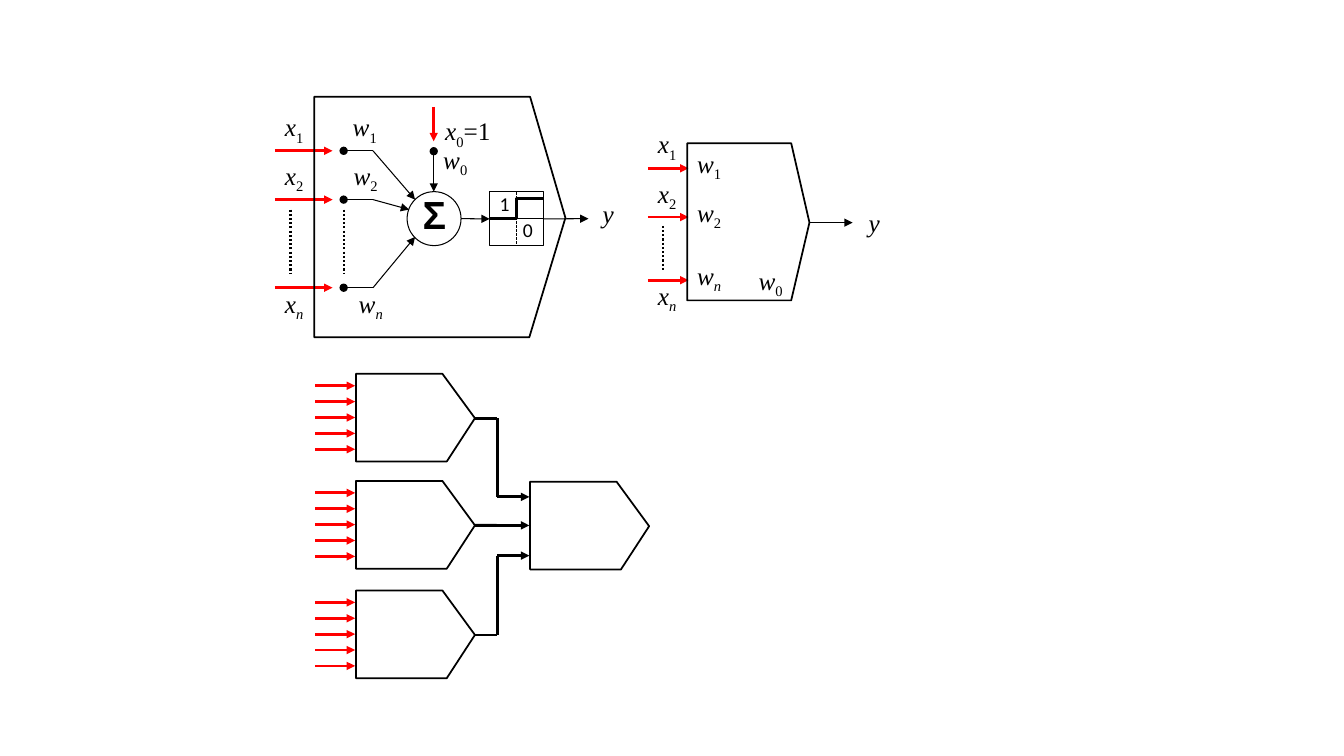
"""Draw a threshold neuron, its compact symbol and a two-layer network."""
import dataclasses

import pptx
import pptx.dml.color
import pptx.enum.dml
import pptx.enum.shapes
import pptx.enum.text
import pptx.oxml.ns
import pptx.util
from lxml import etree

Cm = pptx.util.Cm
Dash = pptx.enum.dml.MSO_LINE
Connector = pptx.enum.shapes.MSO_CONNECTOR
Preset = pptx.enum.shapes.MSO_SHAPE


@dataclasses.dataclass(frozen=True)
class Theme:
    ink: str = "000000"
    signal: str = "FF0000"
    math_font: str = "Times New Roman"
    sum_font: str = "Arial"
    digit_font: str = "Calibri"
    math_size: float = 18
    sum_size: float = 28
    digit_size: float = 14
    thin: float = 0.75
    outline: float = 1.25
    dotted: float = 1.5
    wire: float = 2
    step: float = 2.25


class Diagram:
    def __init__(self, slide, theme):
        self.slide = slide
        self.theme = theme
        self.shapes = slide.shapes

    def open_group(self):
        self.shapes = self.slide.shapes.add_group_shape().shapes

    def close_group(self):
        self.shapes = self.slide.shapes

    def stroke(self, line, width, color=None):
        line.color.rgb = pptx.dml.color.RGBColor.from_string(color or self.theme.ink)
        line.width = pptx.util.Pt(width)

    def line(self, start, end, width=None, color=None, head=None, tail=None,
             dash=None, kind=Connector.STRAIGHT):
        link = self.shapes.add_connector(kind, *map(Cm, start + end))
        self.stroke(link.line, width or self.theme.thin, color)
        if dash:
            link.line.dash_style = dash
        properties = link._element.spPr
        outline = properties.find(pptx.oxml.ns.qn("a:ln"))
        for tag, mark in (("a:headEnd", head), ("a:tailEnd", tail)):
            if mark:
                etree.SubElement(outline, pptx.oxml.ns.qn(tag), type=mark)
        etree.SubElement(properties, pptx.oxml.ns.qn("a:effectLst"))
        return link

    def arrow(self, start, end, **style):
        return self.line(start, end, tail="triangle", **style)

    def inputs(self, left, right, rows):
        for row in rows:
            self.arrow((left, row), (right, row),
                       width=self.theme.wire, color=self.theme.signal)

    def dots(self, x, top, bottom):
        self.line((x, top), (x, bottom), width=self.theme.dotted, dash=Dash.ROUND_DOT)

    def shape(self, preset, left, top, size):
        shape = self.shapes.add_shape(preset, *map(Cm, (left, top, size, size)))
        shape.shadow.inherit = False
        shape.fill.background()
        self.stroke(shape.line, self.theme.thin)
        return shape

    def neuron(self, left, top, shoulder, foot, tip, tip_drop, height):
        points = [(left + shoulder, top), (left, top), (left, top + height),
                  (left + foot, top + height), (left + tip, top + tip_drop)]
        corners = [(Cm(x), Cm(y)) for x, y in points]
        builder = self.shapes.build_freeform(*corners[0], scale=1.0)
        builder.add_line_segments(corners[1:], close=True)
        body = builder.convert_to_shape()
        body.shadow.inherit = False
        body.fill.background()
        self.stroke(body.line, self.theme.outline)

    def text_box(self, left, top, width, height, wrap=False):
        box = self.shapes.add_textbox(*map(Cm, (left, top, width, height)))
        box.text_frame.word_wrap = wrap
        box.text_frame.auto_size = pptx.enum.text.MSO_AUTO_SIZE.SHAPE_TO_FIT_TEXT
        return box.text_frame.paragraphs[0]

    def span(self, para, text, font, size, italic=False, bold=False):
        span = para.add_run()
        span.text = text
        span.font.name = font
        span.font.size = pptx.util.Pt(size)
        span.font.italic = italic
        span.font.bold = bold
        span.font.color.rgb = pptx.dml.color.RGBColor.from_string(self.theme.ink)
        return span

    def symbol(self, name, left, top, index="", suffix="", width=None):
        para = self.text_box(left, top, width or {"x": 1.02, "w": 1.14, "y": 0.79}[name], 1.02)
        font, size = self.theme.math_font, self.theme.math_size
        self.span(para, name, font, size, italic=True)
        if index:
            subscript = self.span(para, index, font, size, italic=index.isalpha())
            subscript.font._element.set("baseline", "-25000")
        if suffix:
            self.span(para, suffix, font, size)

    def digit(self, text, left, top):
        para = self.text_box(left, top, 0.76, 0.86)
        self.span(para, text, self.theme.digit_font, self.theme.digit_size)


def draw_detailed_neuron(diagram):
    theme = diagram.theme
    diagram.digit("0", 12.93, 5.36)
    diagram.digit("1", 12.34, 4.7)
    para = diagram.text_box(10.26, 4.67, 1.37, 1.45, wrap=True)
    para.alignment = pptx.enum.text.PP_ALIGN.CENTER
    diagram.span(para, "Σ", theme.sum_font, theme.sum_size, bold=True)
    diagram.shape(Preset.OVAL, 10.26, 4.83, 1.36)
    step_box = diagram.shape(Preset.RECTANGLE, 12.34, 4.83, 1.37)

    for start, end, sides, dash in (((13.03, 4.83), (13.03, 6.2), (0, 2), Dash.SQUARE_DOT),
                                    ((12.34, 5.51), (13.71, 5.51), (1, 3), None)):
        axis = diagram.line(start, end, dash=dash)
        axis.begin_connect(step_box, sides[0])
        axis.end_connect(step_box, sides[1])
    diagram.line((13.71, 5.0), (12.34, 5.51), width=theme.step, kind=Connector.ELBOW)
    diagram.arrow((11.62, 5.51), (12.34, 5.51)).end_connect(step_box, 1)
    diagram.arrow((13.71, 5.51), (14.83, 5.51)).begin_connect(step_box, 3)

    diagram.arrow((10.93, 3.81), (10.93, 4.83), head="oval")
    rows = (3.8, 5.03, 7.25)
    for row, target in zip(rows, ((10.46, 5.03), (10.31, 5.28), (10.46, 5.97))):
        diagram.line((8.66, row), (9.4, row), head="oval")
        diagram.arrow((9.4, row), target)
    diagram.inputs(6.93, 8.38, rows)
    diagram.arrow((10.93, 2.69), (10.93, 3.56), width=theme.wire, color=theme.signal)
    for x in (7.32, 8.66):
        diagram.dots(x, 5.28, 6.88)

    for index, top, weight_left in (("1", 2.69, 8.64), ("2", 3.91, 8.66), ("n", 7.14, 8.79)):
        diagram.symbol("x", 6.93, top, index)
        diagram.symbol("w", weight_left, top, index)
    diagram.symbol("w", 10.92, 3.51, "0")
    diagram.symbol("x", 10.97, 2.79, "0", suffix="=1", width=1.7)
    diagram.neuron(7.92, 2.44, 5.44, 5.42, 6.33, 3.05, 6.06)
    diagram.symbol("y", 14.94, 4.88)


def draw_compact_neuron(diagram):
    diagram.open_group()
    diagram.arrow((20.4, 5.61), (21.49, 5.61))
    diagram.inputs(16.33, 17.35, (4.24, 5.47, 7.06))
    diagram.dots(16.71, 5.69, 6.83)
    diagram.neuron(17.32, 3.61, 2.62, 2.62, 3.08, 2.0, 3.96)
    for index, input_top, weight_top in (("1", 3.12, 3.61), ("2", 4.37, 4.85), ("n", 6.93, 6.43)):
        diagram.symbol("x", 16.33, input_top, index)
        diagram.symbol("w", 17.32, weight_top, index)
    diagram.symbol("w", 18.87, 6.55, "0")
    diagram.symbol("y", 21.64, 5.11)
    diagram.close_group()


def draw_network(diagram):
    small = dict(shoulder=2.18, foot=2.29, tip=3.0, tip_drop=1.12, height=2.21)
    wire = diagram.theme.wire
    tip, bend, entry = 11.97, 12.53, 13.34
    diagram.neuron(13.36, 12.14, **small)
    for top, entry_row in ((9.42, 12.52), (12.12, 13.24), (14.88, 14.0)):
        diagram.open_group()
        diagram.neuron(8.97, top, **small)
        diagram.inputs(7.94, 8.95, [top + 0.3 + 0.4 * i for i in range(5)])
        diagram.close_group()
        tip_row = top + small["tip_drop"]
        if abs(tip_row - entry_row) < 0.01:
            diagram.arrow((tip, tip_row), (entry, entry_row), width=wire)
        else:
            diagram.line((tip, tip_row), (bend, tip_row), width=wire)
            diagram.line((bend, tip_row), (bend, entry_row), width=wire)
            diagram.arrow((bend, entry_row), (entry, entry_row), width=wire)


def main():
    deck = pptx.Presentation()
    deck.slide_width, deck.slide_height = Cm(33.87), Cm(19.05)
    diagram = Diagram(deck.slides.add_slide(deck.slide_layouts[6]), Theme())
    draw_detailed_neuron(diagram)
    draw_compact_neuron(diagram)
    draw_network(diagram)
    deck.save("out.pptx")


if __name__ == "__main__":
    main()
